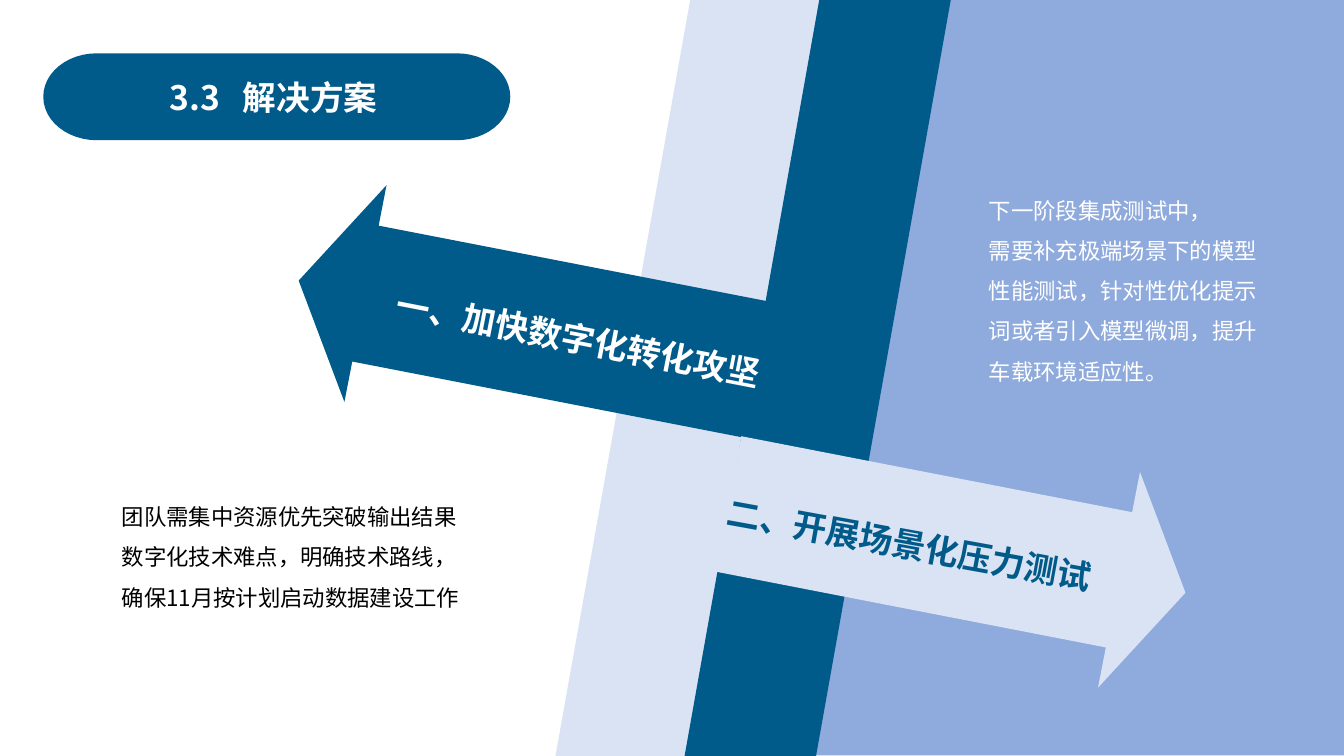
"""Build the slide on solutions, with two crossing arrows over slanted bands."""
from dataclasses import dataclass
from math import cos, pi, sin

from lxml.etree import SubElement
from pptx import Presentation
from pptx.dml.color import RGBColor as Rgb
from pptx.enum.shapes import MSO_SHAPE as Kind
from pptx.enum.text import MSO_ANCHOR as Anchor, MSO_AUTO_SIZE as Fit, PP_ALIGN as Align
from pptx.oxml.ns import qn
from pptx.shapes.autoshape import Shape
from pptx.shapes.shapetree import GroupShapes, SlideShapes
from pptx.text.text import _Paragraph as Para
from pptx.util import Inches, Pt

HUES = {"navy": "005A8A", "sky": "8FAADC", "pale": "DAE3F3",
        "white": "FFFFFF", "black": "000000"}
FACE = "Noto Sans CJK SC"
Box = tuple[float, float, float, float]


@dataclass
class Block:
    kind: Kind
    box: Box
    hue: str
    turn: float = 0
    adj: tuple[float, ...] = ()
    flip: bool = False


@dataclass
class Note:
    box: Box
    lines: tuple[str, ...]
    hue: str
    size: int = 16
    bold: bool = False
    fill: str = ""
    turn: float = 0
    after: int = 0


SLANT = (0.506,)
HEAD = (0.627, 0.308)
BANDS = [
    Block(Kind.PARALLELOGRAM, (5.51, 0, 2.64, 7.5), "pale", adj=SLANT),
    Block(Kind.FLOWCHART_MANUAL_INPUT, (6.33, 0.49, 7.5, 6.51), "sky", 270, flip=True),
    Block(Kind.PARALLELOGRAM, (6.79, 0, 2.64, 7.5), "navy", adj=SLANT),
]
ARROWS = [
    (Block(Kind.RIGHT_ARROW, (2.92, 2.13, 4.62, 2.19), "navy", 191, HEAD),
     Note((3.83, 2.92, 3.96, 0.64), ("一、加快数字化转化攻坚",),
          "white", 24, True, "navy", 11, 6)),
    (Block(Kind.RIGHT_ARROW, (7.18, 4.35, 4.62, 2.18), "pale", 11, HEAD),
     Note((7.11, 4.97, 4.09, 0.64), ("二、开展场景化压力测试",),
          "navy", 24, True, "pale", 10.3, 6)),
]
NOTES = [
    Note((1.11, 4.81, 3.66, 1.27),
         ("团队需集中资源优先突破输出结果数字化技术难点，明确技术路线，"
          "确保11月按计划启动数据建设工作",), "black"),
    Note((9.71, 1.77, 3, 2.07),
         ("下一阶段集成测试中，",
          "需要补充极端场景下的模型性能测试，针对性优化提示词或者引入模型微调，"
          "提升车载环境适应性。"), "white"),
]


def tint(hue: str) -> Rgb:
    """Return the named colour."""
    return Rgb.from_string(HUES[hue])


def paint(shape: Shape, hue: str) -> None:
    """Fill a shape flat, without shadow or line."""
    shape.shadow.inherit = False
    shape.fill.solid()
    shape.fill.fore_color.rgb = tint(hue)
    shape.line.fill.background()


def write(para: Para, text: str, hue: str, size: int, bold: bool) -> None:
    """Add one styled run to a paragraph."""
    run = para.add_run()
    run.text = text
    font = run.font
    font.name, font.size, font.bold = FACE, Pt(size), bold
    font.color.rgb = tint(hue)
    SubElement(font._element, qn("a:ea"), typeface=FACE)


def draw(shapes: GroupShapes, block: Block) -> None:
    """Draw one preset shape."""
    shape = shapes.add_shape(block.kind, *map(Inches, block.box))
    paint(shape, block.hue)
    shape.rotation = block.turn
    for i, val in enumerate(block.adj):
        shape.adjustments[i] = val
    if block.flip:
        shape.element.spPr.xfrm.set("flipH", "1")


def label(shapes: SlideShapes | GroupShapes, note: Note) -> None:
    """Draw one wrapped text box."""
    shape = shapes.add_textbox(*map(Inches, note.box))
    shape.rotation = note.turn
    if note.fill:
        shape.fill.solid()
        shape.fill.fore_color.rgb = tint(note.fill)
    frame = shape.text_frame
    frame.word_wrap = True
    frame.auto_size = Fit.SHAPE_TO_FIT_TEXT
    for i, text in enumerate(note.lines):
        para = frame.add_paragraph() if i else frame.paragraphs[0]
        para.line_spacing = 1.5
        para.space_after = Pt(note.after)
        write(para, text, note.hue, note.size, note.bold)


def pill(shapes: SlideShapes, box: Box, bend: float) -> Shape:
    """Draw a bar with elliptic ends of the given depth."""
    left, top, wide, high = box
    steps = 24
    dots = []
    for side, mid in ((1, left + wide - bend), (-1, left + bend)):
        for i in range(steps + 1):
            turn = pi * i / steps
            dots.append((Inches(mid + side * bend * sin(turn)),
                         Inches(top + high / 2 - side * high / 2 * cos(turn))))
    form = shapes.build_freeform(*dots[0])
    form.add_line_segments(dots[1:], close=True)
    shape = form.convert_to_shape()
    paint(shape, "navy")
    shape.line.color.rgb = tint("navy")
    shape.line.width = Pt(3)
    return shape


def head(shapes: SlideShapes) -> None:
    """Place the title over its bar."""
    title = shapes.title
    title.left, title.top, title.width, title.height = map(Inches, (1.68, 0.71, 2.36, 0.5))
    bar = pill(shapes, (0.45, 0.55, 4.59, 0.82), 0.51)
    title.element.addprevious(bar.element)
    frame = title.text_frame
    frame.margin_left = frame.margin_right = frame.margin_top = frame.margin_bottom = 0
    frame.vertical_anchor = Anchor.MIDDLE
    frame.auto_size = Fit.NONE
    frame.word_wrap = False
    para = frame.paragraphs[0]
    para.alignment = Align.LEFT
    props = para._p.get_or_add_pPr()
    tabs = SubElement(props, qn("a:tabLst"))
    SubElement(tabs, qn("a:tab"), pos=str(Inches(0.73)), algn="l")
    write(para, "3.3\t解决方案", "white", 24, True)


def main() -> None:
    """Build and save the slide."""
    deck = Presentation()
    deck.slide_width, deck.slide_height = Inches(13.33), Inches(7.5)
    shapes = deck.slides.add_slide(deck.slide_layouts[5]).shapes
    bands = shapes.add_group_shape().shapes
    for band in BANDS:
        draw(bands, band)
    for arrow, note in ARROWS:
        group = shapes.add_group_shape().shapes
        draw(group, arrow)
        label(group, note)
    head(shapes)
    for note in NOTES:
        label(shapes, note)
    deck.save("out.pptx")


if __name__ == "__main__":
    main()
